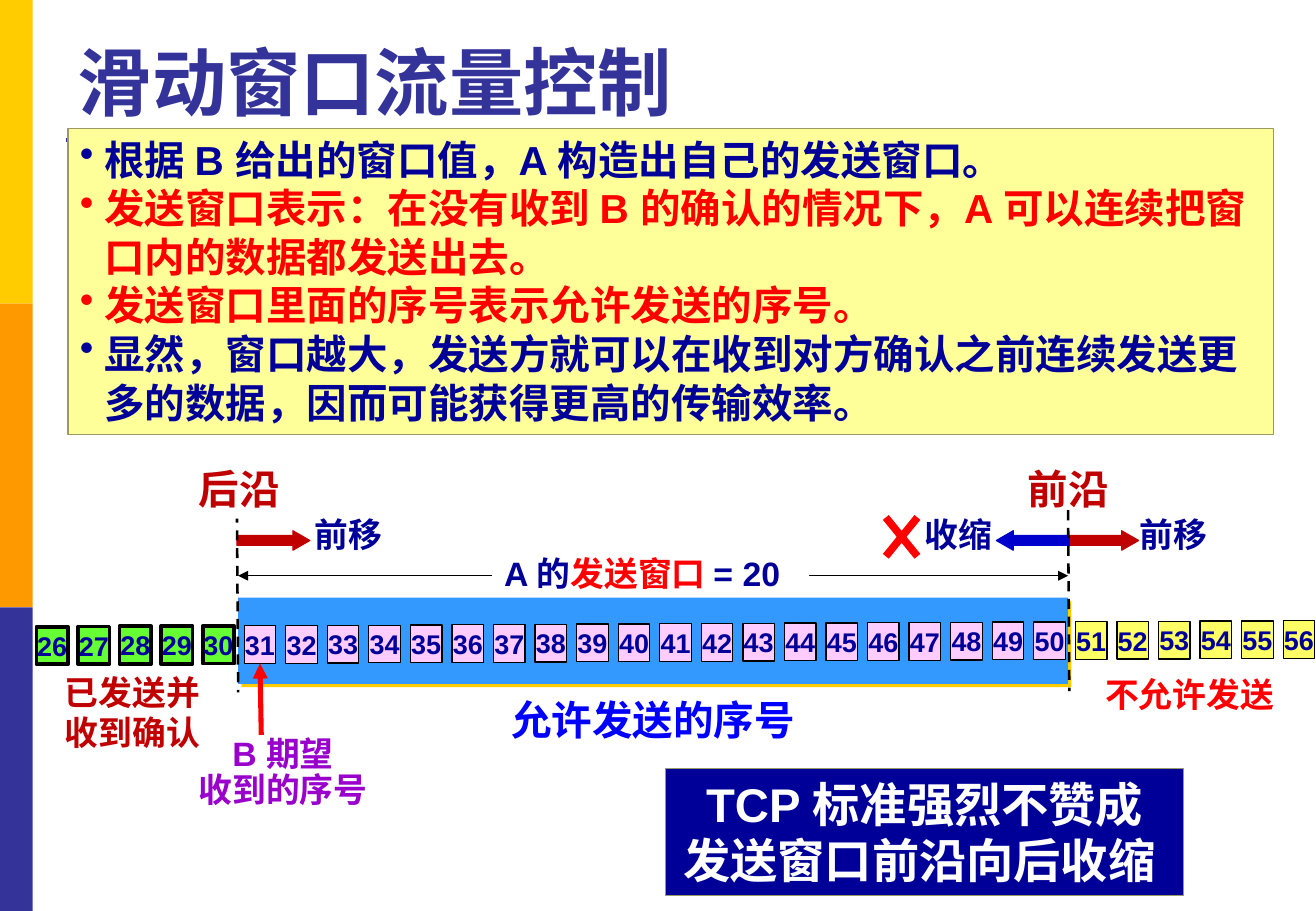
import pptx
import pptx.util
import pptx.dml.color
import pptx.enum.dml
import pptx.enum.shapes
import pptx.enum.text
import pptx.oxml
import pptx.oxml.ns

Inches, Pt = pptx.util.Inches, pptx.util.Pt
RGB = pptx.dml.color.RGBColor
SHAPE = pptx.enum.shapes.MSO_SHAPE
ALIGN = pptx.enum.text.PP_ALIGN
ANCHOR = pptx.enum.text.MSO_ANCHOR
qn = pptx.oxml.ns.qn

FONT = "Arial"
WHITE = RGB(0xFF, 0xFF, 0xFF)
BLACK = RGB(0, 0, 0)
NAVY = RGB(0, 0, 0x99)
BLUE = RGB(0, 0, 0xFF)
ROYAL = RGB(0, 0, 0xCC)
SKY = RGB(0x33, 0x99, 0xFF)
INDIGO = RGB(0x33, 0x33, 0x99)
RED = RGB(0xFF, 0, 0)
CRIMSON = RGB(0xC0, 0, 0)
PURPLE = RGB(0x99, 0, 0xCC)
GOLD = RGB(0xFF, 0xCC, 0)
ORANGE = RGB(0xFF, 0x99, 0)
CREAM = RGB(0xFF, 0xFF, 0x99)
OLIVE = RGB(0x99, 0x99, 0x66)
GREEN = RGB(0x66, 0xFF, 0x33)
PINK = RGB(0xFF, 0xCC, 0xFF)
YELLOW = RGB(0xFF, 0xFF, 0x66)

TITLE = "滑动窗口流量控制"
POINTS = [
    [("根据 B 给出的窗口值，A 构造出自己的发送窗口。", NAVY)],
    [("发送窗口表示：在没有收到 B 的确认的情况下，A 可以连续把窗口内的数据都发送出去。", RED)],
    [("发送窗口里面的序号表示允许发送的序号。", RED)],
    [("显然，窗口越大，发送方就可以在收到对方确认之前连续发送更多的数据，"
      "因而可能获得更高的传输效率。", NAVY)],
]
SIZE = [[("A 的", NAVY), ("发送窗口 ", RED), ("= 20", NAVY)]]
WARNING = ["TCP 标准强烈不赞成", "发送窗口前沿向后收缩 "]
# first number, last number, fill, outline width
GROUPS = [(26, 30, GREEN, 2.25), (31, 50, PINK, 0.75), (51, 56, YELLOW, 0.75)]
# lines, box, size, colour, fill
BACK = [
    (["前移"], (9.28, 4.18, 0.76, 0.44), 20, NAVY, WHITE),
    (["不允许发送"], (8.99, 5.5, 1.6, 0.44), 20, RED, WHITE),
    (["已发送并", "收到确认"], (0.43, 5.48, 1.32, 0.77), 20, CRIMSON, WHITE),
    (["允许发送的序号"], (4.09, 5.67, 2.57, 0.5), 24, BLUE, WHITE),
]
FRONT = [
    (["前沿"], (8.35, 3.77, 0.88, 0.5), 24, CRIMSON, WHITE),
    (["后沿"], (1.53, 3.77, 0.88, 0.5), 24, CRIMSON, WHITE),
    (["前移"], (2.49, 4.18, 0.76, 0.44), 20, NAVY, None),
    (["收缩"], (7.51, 4.18, 0.76, 0.44), 20, NAVY, None),
]
ARROWS = [
    (8.77, SHAPE.RIGHT_ARROW, CRIMSON),
    (8.2, SHAPE.LEFT_ARROW, ROYAL),
    (1.95, SHAPE.RIGHT_ARROW, CRIMSON),
]

prs = pptx.Presentation()
prs.slide_width, prs.slide_height = Inches(10.83), Inches(7.5)
slide = prs.slides.add_slide(prs.slide_layouts[5])
shapes = slide.shapes


def place(box):
    return [Inches(v) for v in box]


def block(box, fill, edge=None, width=0.75, kind=SHAPE.RECTANGLE):
    """Add a filled preset shape without shadow."""
    shape = shapes.add_shape(kind, *place(box))
    shape.shadow.inherit = False
    shape.fill.solid()
    shape.fill.fore_color.rgb = fill
    if edge is None:
        shape.line.fill.background()
    else:
        shape.line.color.rgb = edge
        shape.line.width = Pt(width)
    return shape


def write(shape, lines, size=20, color=NAVY, align=ALIGN.CENTER,
          anchor=ANCHOR.TOP, wrap=False, bullet=False, space=None):
    """Fill a shape; a line is a string or a list of (text, colour) runs."""
    frame = shape.text_frame
    frame.auto_size = pptx.enum.text.MSO_AUTO_SIZE.NONE
    frame.word_wrap = wrap
    frame.vertical_anchor = anchor
    for i, line in enumerate(lines):
        para = frame.add_paragraph() if i else frame.paragraphs[0]
        para.alignment = align
        if space:
            para.line_spacing = space
        if bullet:
            props = para._p.get_or_add_pPr()
            props.set("marL", str(Inches(0.2)))
            props.set("indent", str(Inches(-0.2)))
            props.append(pptx.oxml.parse_xml(
                '<a:buChar %s char="•"/>' % pptx.oxml.ns.nsdecls("a")))
        for text, tint in [(line, color)] if isinstance(line, str) else line:
            run = para.add_run()
            run.text = text
            run.font.name, run.font.size, run.font.bold = FONT, Pt(size), True
            run.font.color.rgb = tint


def label(lines, box, size, color, fill, **form):
    shape = block(box, fill) if fill else shapes.add_textbox(*place(box))
    write(shape, lines, size, color, **form)


def rule(start, end, color, width, dash=False, ends=()):
    """Add a straight line; ends lists headEnd and tailEnd for arrowheads."""
    line = shapes.add_connector(pptx.enum.shapes.MSO_CONNECTOR.STRAIGHT,
                                *place(start + end))
    line.line.color.rgb = color
    line.line.width = Pt(width)
    if dash:
        line.line.dash_style = pptx.enum.dml.MSO_LINE.DASH
    outline = line.line._get_or_add_ln()
    for name in ends:
        outline.append(outline.makeelement(qn("a:" + name), {"type": "triangle"}))
    props = line._element.spPr
    props.append(props.makeelement(qn("a:effectLst"), {}))
    return line


# Side band and title
for i, tint in enumerate((GOLD, ORANGE, INDIGO)):
    block((0, 2.5 * i, 0.27, 2.5), tint)
rule((0.54, 1.15), (10.46, 1.15), INDIGO, 2.25)
title = shapes.title
title.left, title.top, title.width, title.height = place((0.54, 0.21, 9.91, 0.87))
write(title, [TITLE], 44, INDIGO, align=ALIGN.LEFT, anchor=ANCHOR.BOTTOM, wrap=True)

# Labels and arrows behind the window
for item in BACK:
    label(*item)
for left, kind, tint in ARROWS:
    arrow = block((left, 4.37, 0.6, 0.16), tint, tint, kind=kind)
    arrow.adjustments[0], arrow.adjustments[1] = 0.5, 0.87
rule((1.96, 4.74), (8.79, 4.74), BLACK, 0.75, ends=("headEnd", "tailEnd"))
label(SIZE, (4.05, 4.5, 2.61, 0.44), 20, NAVY, WHITE, align=ALIGN.LEFT)

# Send window with its gold shadow
window = block((1.96, 4.92, 6.83, 0.71), SKY)
window._element.spPr.find(qn("a:effectLst")).append(pptx.oxml.parse_xml(
    '<a:outerShdw %s dist="%d" dir="2700000" algn="ctr" rotWithShape="0">'
    '<a:srgbClr val="%s"/></a:outerShdw>'
    % (pptx.oxml.ns.nsdecls("a"), Pt(2.8), GOLD)))

# Numbered cells, rising slightly to the right
cells = {}
for first, last, tint, width in GROUPS:
    for number in range(first, last + 1):
        step = number - 26
        box = (0.3 + 10.26 / 30 * step, 5.16 - 0.05 / 30 * step, 0.26, 0.31)
        cells[number] = block(box, tint, BLACK, width)
        write(cells[number], [str(number)], 16, anchor=ANCHOR.MIDDLE)

# Expected number and window edges
rule((2.15, 6.05), (2.14, 5.46), RED, 3, ends=("tailEnd",)).end_connect(cells[31], 2)
label(["B 期望", "收到的序号"], (1.53, 6.02, 1.6, 0.71), 20, PURPLE, None, space=0.9)
rule((1.95, 4.22), (1.96, 5.7), BLACK, 1.5, dash=True)
for item in FRONT:
    label(*item)
rule((8.79, 4.2), (8.8, 5.69), BLACK, 1.5, dash=True)
for x, end in ((7.55, 7.29), (7.29, 7.55)):
    rule((x, 4.26), (end, 4.58), RED, 4.5)

# Text panels
write(block((0.56, 1.06, 9.92, 2.52), CREAM, OLIVE), POINTS, 24,
      align=ALIGN.LEFT, wrap=True, bullet=True)
write(block((5.48, 6.33, 4.26, 1.04), NAVY, OLIVE), WARNING, 28, WHITE)

prs.save("out.pptx")
